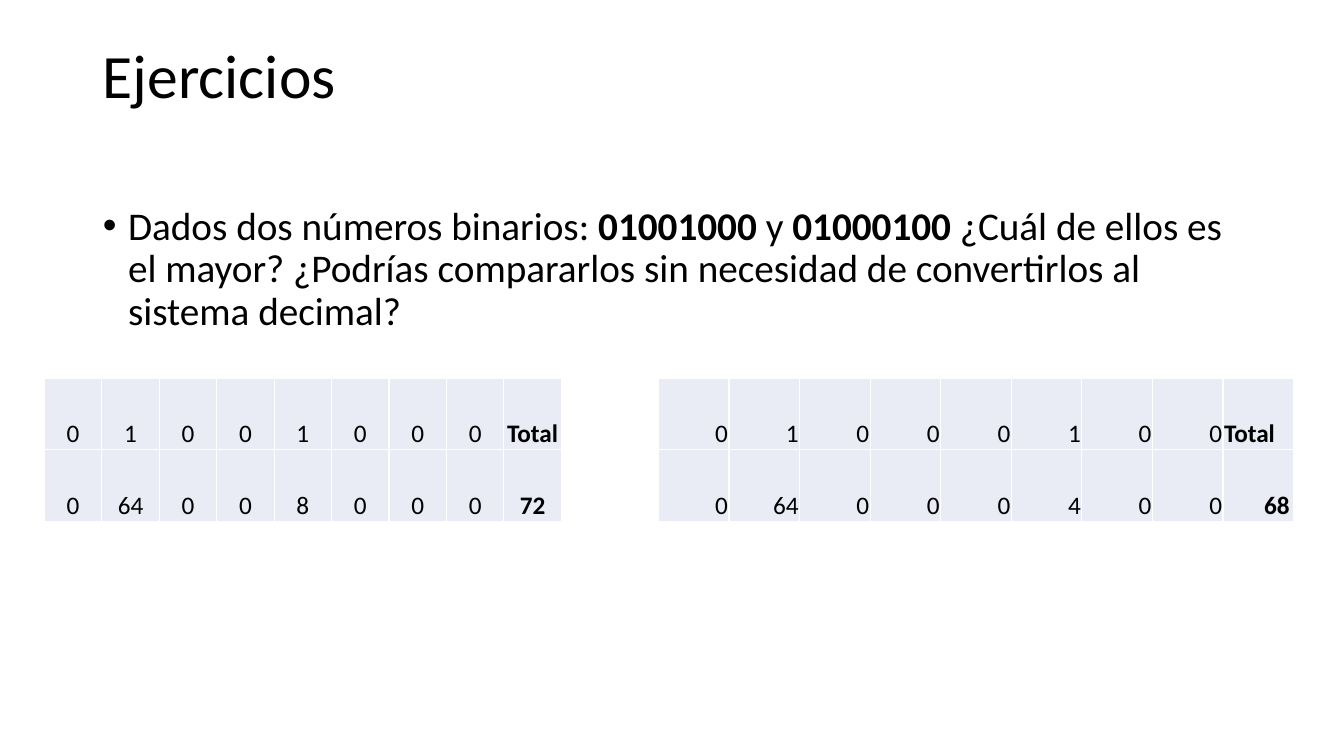
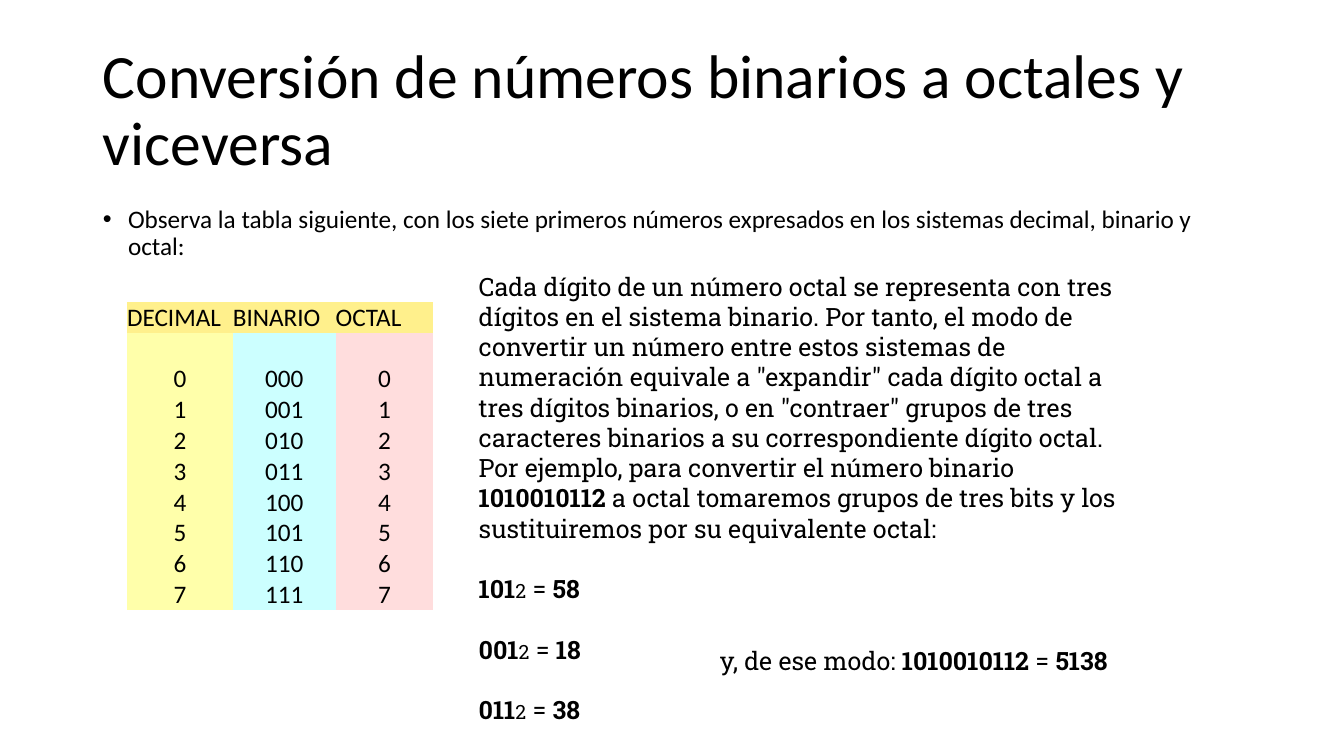
from lxml import etree
from pptx import Presentation, util as u
from pptx.dml.color import RGBColor
from pptx.enum import text
from pptx.oxml.ns import qn

# Theme: colours, fonts, type sizes
THEME = dict(ink="000000", grid="FFFFFF", cell="E9EBF5", header="FFF08C",
             columns=("FFFFAA", "CCFFFF", "FFDDDD"),
             font="Calibri", slab="Roboto Slab",
             title=44, lead=28, base=18, sub=14)
PX = 9144  # 100 px to the inch
LEFT, CENTER, RIGHT = (text.PP_ALIGN.LEFT, text.PP_ALIGN.CENTER,
                       text.PP_ALIGN.RIGHT)
BOTTOM = text.MSO_ANCHOR.BOTTOM
B = dict(bold=True)
SUB = dict(size=THEME["sub"])

# Content: a paragraph is a list of (text, format) runs
COMPARE = dict(
    title="Ejercicios",
    body=[("Dados dos números binarios: ", {}), ("01001000", B), (" y ", {}),
          ("01000100", B),
          (" ¿Cuál de ellos es el mayor? ¿Podrías compararlos sin necesidad "
           "de convertirlos al sistema decimal?", {})])
BINARY_TABLES = [
    dict(x=44, col=57, digits="01001000", align=CENTER, head=CENTER,
         total=CENTER, pad=1),
    dict(x=653, col=70, digits="01000100", align=RIGHT, head=LEFT,
         total=RIGHT, pad=4),
]
OCTAL = dict(
    title="Conversión de números binarios a octales y viceversa",
    body=[("Observa la tabla siguiente, con los siete primeros números "
           "expresados en los sistemas decimal, binario y octal:", {})])
OCTAL_HEAD = ("DECIMAL", "BINARIO", "OCTAL")
OCTAL_COLS = (105, 102, 97)
EXPLANATION = [
    [("Cada dígito de un número octal se representa con tres dígitos en el "
      "sistema binario. Por tanto, el modo de convertir un número entre estos "
      "sistemas de numeración equivale a \"expandir\" cada dígito octal a tres "
      "dígitos binarios, o en \"contraer\" grupos de tres caracteres binarios "
      "a su correspondiente dígito octal.", {})],
    [("Por ejemplo, para convertir el número binario ", {}),
     ("1010010112", B),
     (" a octal tomaremos grupos de tres bits y los sustituiremos por su "
      "equivalente octal:", {})],
]
GROUPS = [("101", "58"), ("001", "18"), ("011", "38")]
RESULT = [("y, de ese modo: ", {}), ("1010010112", B), (" = ", {}),
          ("5138", B)]


def px(*lengths):
    return [u.Emu(n * PX) for n in lengths]


def place(sp, *box):
    for name, value in zip(("left", "top", "width", "height"), px(*box)):
        setattr(sp, name, value)


def write(p, runs, size=THEME["base"], font=THEME["font"], **para):
    for name, value in para.items():
        setattr(p, name, value)
    for words, extra in runs:
        r = p.add_run()
        r.text = words
        fmt = dict(name=font, size=size, bold=False) | extra
        fmt["size"] = u.Pt(fmt["size"])
        for name, value in fmt.items():
            setattr(r.font, name, value)
        r.font.color.rgb = RGBColor.from_string(THEME["ink"])


def add_slide(prs, content, body_height, body_size):
    s = prs.slides.add_slide(prs.slide_layouts[1])
    title, body = s.shapes.title, s.placeholders[1]
    place(title, 92, 40, 1150, 145)
    place(body, 92, 200, 1150, body_height)
    for sp in (title, body):
        sp.text_frame.auto_size = text.MSO_AUTO_SIZE.NONE
        sp.text_frame.vertical_anchor = text.MSO_ANCHOR.TOP
    write(title.text_frame.paragraphs[0], [(content["title"], {})],
          THEME["title"], alignment=LEFT, line_spacing=0.9)
    p = body.text_frame.paragraphs[0]
    write(p, content["body"], body_size, line_spacing=0.9,
          space_before=u.Pt(10))
    indent = 25 * PX
    pPr = p._p.get_or_add_pPr()
    pPr.set("marL", str(indent))
    pPr.set("indent", str(-indent))
    return s


def set_borders(cell, color):
    tcPr = cell._tc.get_or_add_tcPr()
    for side in ("a:lnL", "a:lnR", "a:lnT", "a:lnB"):
        ln = etree.SubElement(tcPr, qn(side), w=str(u.Pt(1)))
        if color:
            fill = etree.SubElement(ln, qn("a:solidFill"))
            etree.SubElement(fill, qn("a:srgbClr"), val=color)
        else:
            etree.SubElement(ln, qn("a:noFill"))


def add_table(s, x, y, cols, rows, cells, border=None):
    """Each cell is (text, fill, alignment, bold, side padding in px)."""
    tb = s.shapes.add_table(len(rows), len(cols),
                            *px(x, y, sum(cols), sum(rows))).table
    tb.first_row = tb.horz_banding = False
    for col, width in zip(tb.columns, px(*cols)):
        col.width = width
    for row, height in zip(tb.rows, px(*rows)):
        row.height = height
    for i, line in enumerate(cells):
        for j, (words, fill, align, bold, pad) in enumerate(line):
            c = tb.cell(i, j)
            set_borders(c, border)
            c.fill.solid()
            c.fill.fore_color.rgb = RGBColor.from_string(fill)
            c.margin_left = c.margin_right = px(pad)[0]
            c.margin_top = c.margin_bottom = 0
            c.vertical_anchor = BOTTOM
            write(c.text_frame.paragraphs[0], [(words, dict(bold=bold))],
                  alignment=align)


def add_text(s, box, paragraphs):
    """Each paragraph is (runs, space before in points)."""
    tf = s.shapes.add_textbox(*px(*box)).text_frame
    tf.word_wrap = True
    for i, (runs, gap) in enumerate(paragraphs):
        p = tf.add_paragraph() if i else tf.paragraphs[0]
        write(p, runs, font=THEME["slab"], space_before=u.Pt(gap))


def compare_slide(prs):
    s = add_slide(prs, COMPARE, 145, THEME["lead"])
    for t in BINARY_TABLES:
        digits = t["digits"]
        weights = [int(d) << (len(digits) - 1 - i)
                   for i, d in enumerate(digits)]
        lines = [(digits, "Total", t["head"], 1),
                 (weights, sum(weights), t["total"], t["pad"])]
        cells = [[(str(v), THEME["cell"], t["align"], False, 1)
                  for v in values]
                 + [(str(last), THEME["cell"], align, True, pad)]
                 for values, last, align, pad in lines]
        add_table(s, t["x"], 375, [t["col"]] * (len(digits) + 1), [71] * 2,
                  cells, THEME["grid"])


def octal_slide(prs):
    s = add_slide(prs, OCTAL, 476, THEME["base"])
    # Number table
    cells = [[(h, THEME["header"], LEFT, False, 0) for h in OCTAL_HEAD]]
    for n in range(8):
        cells.append([(v, fill, CENTER, False, 0) for v, fill in
                      zip((f"{n}", f"{n:03b}", f"{n:o}"), THEME["columns"])])
    add_table(s, 126, 300, OCTAL_COLS, [30, 61] + [30] * 7, cells)
    # Explanation and result
    sums = [[(bits, B), ("2", SUB), (" = ", {}), (octal, B)]
            for bits, octal in GROUPS]
    add_text(s, (465, 264, 667, 480),
             [(runs, 0) for runs in EXPLANATION]
             + [(runs, 21.6) for runs in sums])
    add_text(s, (704, 635, 482, 40), [(RESULT, 0)])


def main():
    prs = Presentation()
    prs.slide_width, prs.slide_height = px(1333, 750)
    compare_slide(prs)
    octal_slide(prs)
    prs.save("out.pptx")


if __name__ == "__main__":
    main()
